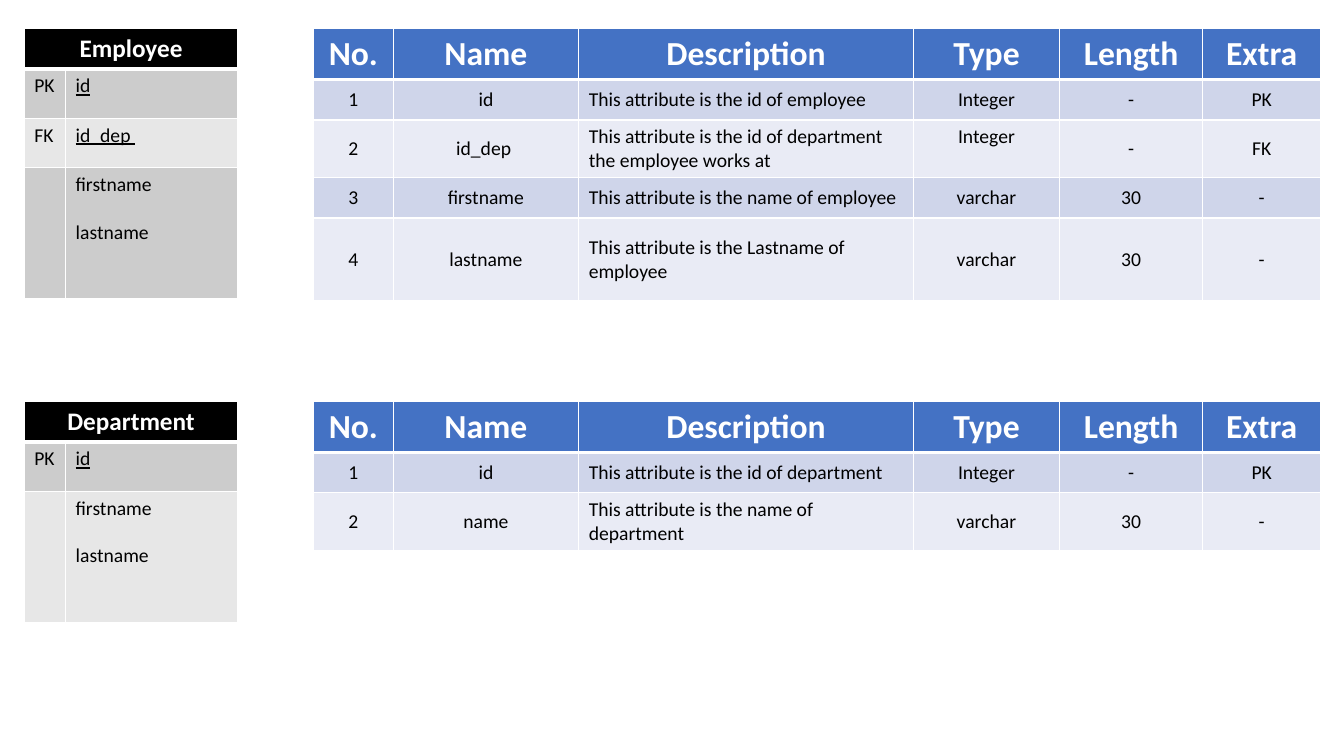
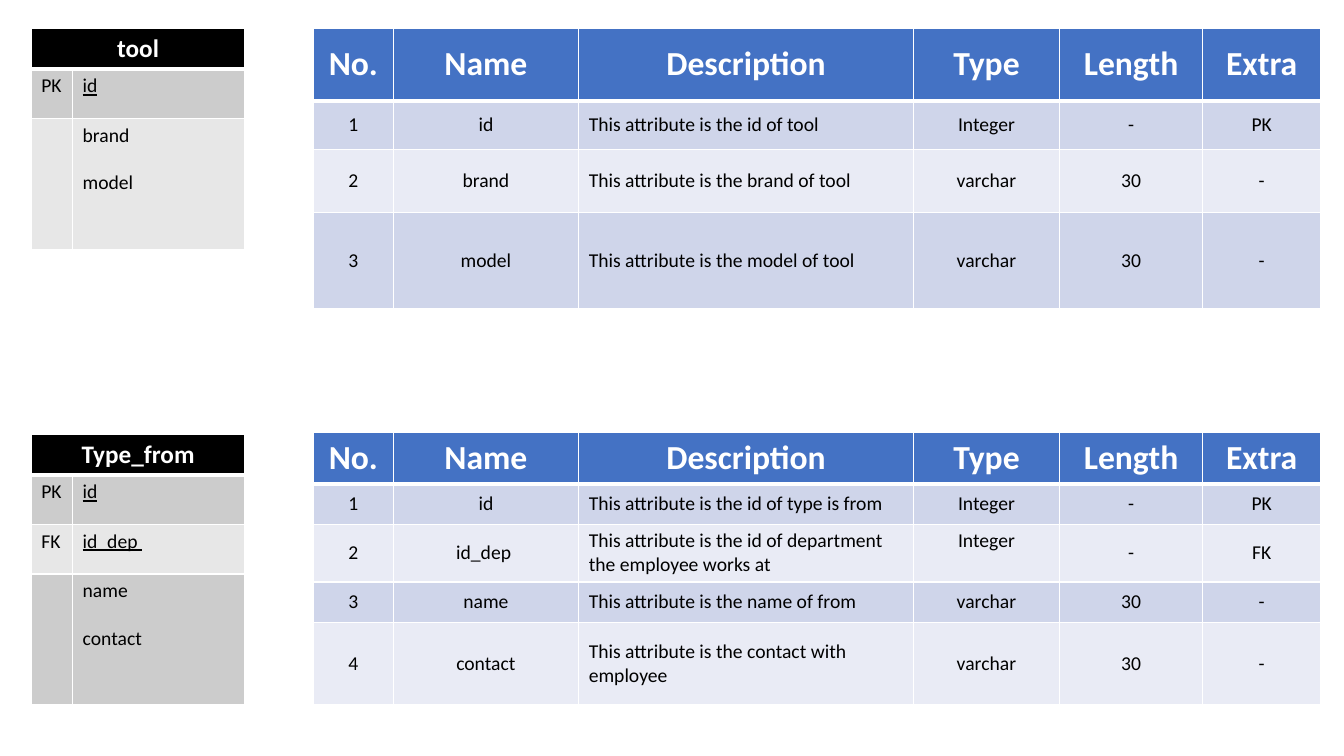
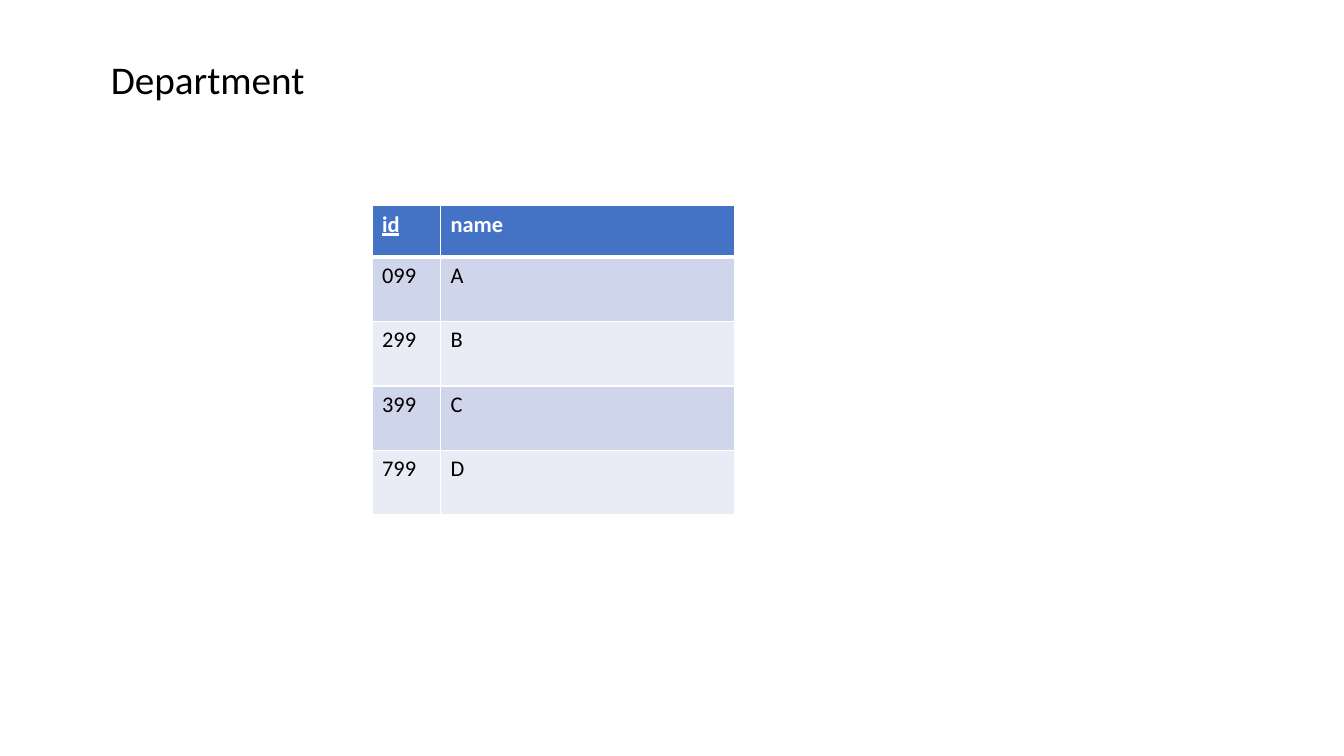
import pptx
import pptx.util
import pptx.dml.color
import pptx.enum.text
import pptx.oxml

PX = 9144  # 100 px to the inch
FONT = "Calibri"
COLORS = {
    "white": "FFFFFF", "black": "000000",
    "blue": "4472C4", "blue_dark_band": "CFD5EA", "blue_light_band": "E9EBF5",
    "grey_dark_band": "CCCCCC", "grey_light_band": "E7E7E7",
}
BLUE = ("blue", "blue_dark_band", "blue_light_band")
BLACK = ("black", "grey_dark_band", "grey_light_band")
ALIGN = pptx.enum.text.PP_ALIGN
ANCHOR = pptx.enum.text.MSO_ANCHOR

# Content: each entity has its keys, its fields and the attributes that describe them
ATTRIBUTE_HEAD = ("No.", "Name", "Description", "Type", "Length", "Extra")
ATTRIBUTE_COLS = (79, 184, 332, 145, 142, 117)
ATTRIBUTE_X = 311
ENTITY_COLS = (41, 171)
ENTITY_HEAD_H, KEY_H, FIELDS_H = 36, 49, 130
PK, FK = ("PK", "id"), ("FK", "id_dep ")
DEPARTMENT_REF = ("id_dep ", "This attribute is the id of department the employee works at",
                  "Integer", "-", "FK")

ENTITY_SLIDES = [
    [
        {"name": "Employee", "at": (24, 28), "keys": [PK, FK],
         "fields": ["firstname", "lastname"],
         "attributes_y": 28, "heights": (51, 40, 46, 40, 82), "attributes": [
             ("id", "This attribute is the id of employee", "Integer", "-", "PK"),
             DEPARTMENT_REF,
             ("firstname", "This attribute is the name of employee", "varchar", "30", "-"),
             ("lastname", "This attribute is the Lastname of employee", "varchar", "30", "-")]},
        {"name": "Department", "at": (24, 398), "keys": [PK],
         "fields": ["firstname", "lastname"],
         "attributes_y": 398, "heights": (51, 40, 44), "attributes": [
             ("id", "This attribute is the id of department", "Integer", "-", "PK"),
             ("name", "This attribute is the name of department", "varchar", "30", "-")]},
    ],
    [
        {"name": "tool", "at": (31, 28), "keys": [PK],
         "fields": ["brand", "model"],
         "attributes_y": 28, "heights": (72, 48, 63, 95), "attributes": [
             ("id", "This attribute is the id of tool", "Integer", "-", "PK"),
             ("brand", "This attribute is the brand of tool", "varchar", "30", "-"),
             ("model", "This attribute is the model of tool", "varchar", "30", "-")]},
        {"name": "Type_from", "at": (31, 431), "keys": [PK, FK],
         "fields": ["name", "contact"],
         "attributes_y": 429, "heights": (51, 40, 46, 40, 82), "attributes": [
             ("id", "This attribute is the id of type is from", "Integer", "-", "PK"),
             DEPARTMENT_REF,
             ("name", "This attribute is the name of from", "varchar", "30", "-"),
             ("contact", "This attribute is the contact with employee", "varchar", "30", "-")]},
    ],
]
RECORDS_TITLE = "Department"
RECORDS = [("id", "name"), ("099", "A"), ("299", "B"), ("399", "C"), ("799", "D")]


def px(*values):
    return [pptx.util.Emu(v * PX) for v in values]


def rgb(name):
    return pptx.dml.color.RGBColor.from_string(COLORS[name])


def add_run(p, text, size, color, bold=False, underline=False):
    r = p.add_run()
    r.text = text
    r.font.name, r.font.size = FONT, pptx.util.Pt(size)
    r.font.color.rgb = rgb(color)
    r.font.bold, r.font.underline = bold, underline


def set_borders(cell, top, bottom):
    """White borders; widths in points."""
    tcPr = cell._tc.get_or_add_tcPr()
    for i, (side, width) in enumerate((("L", 1), ("R", 1), ("T", top), ("B", bottom))):
        tcPr.insert(i, pptx.oxml.parse_xml(
            f'<a:ln{side} xmlns:a="http://schemas.openxmlformats.org/drawingml/2006/main" '
            f'w="{pptx.util.Pt(width)}"><a:solidFill><a:srgbClr val="{COLORS["white"]}"/>'
            f'</a:solidFill></a:ln{side}>'))


def add_grid(s, at, widths, heights, rows, palette, sizes, style):
    """Banded table; style(i, j) gives (alignment, anchor, underline) of a cell."""
    shape = s.shapes.add_table(len(rows), len(widths), *px(*at, sum(widths), sum(heights)))
    table = shape.table
    for column, width in zip(table.columns, px(*widths)):
        column.width = width
    for row, height in zip(table.rows, px(*heights)):
        row.height = height
    head, *bands = palette
    for i, row in enumerate(rows):
        for j, content in enumerate(row):
            cell = table.cell(i, j)
            align, anchor, underline = style(i, j)
            set_borders(cell, 3 if i == 1 else 1, 3 if i == 0 else 1)
            cell.fill.solid()
            cell.fill.fore_color.rgb = rgb(bands[(i - 1) % 2] if i else head)
            cell.vertical_anchor = anchor
            lines = content if isinstance(content, list) else [content]
            for n, line in enumerate(lines):
                p = cell.text_frame.add_paragraph() if n else cell.text_frame.paragraphs[0]
                p.alignment = align
                if n:
                    p.space_before = pptx.util.Pt(17)
                if line:
                    add_run(p, line, sizes[min(i, 1)], "black" if i else "white",
                            i == 0, underline)
    return table


def add_entity(s, entity):
    # Entity box: name, keys, then the remaining fields in one row
    keys = entity["keys"]
    rows = [(entity["name"], ""), *keys, ("", entity["fields"])]
    heights = [ENTITY_HEAD_H] + [KEY_H] * len(keys) + [FIELDS_H]

    def entity_style(i, j):
        return (ALIGN.LEFT if i else ALIGN.CENTER, ANCHOR.TOP,
                j == 1 and 0 < i <= len(keys))

    table = add_grid(s, entity["at"], ENTITY_COLS, heights, rows, BLACK, (18, 14), entity_style)
    table.cell(0, 0).merge(table.cell(0, 1))

    # Attribute table, numbered from 1
    rows = [ATTRIBUTE_HEAD] + [(str(n), *a) for n, a in enumerate(entity["attributes"], 1)]

    def attribute_style(i, j):
        foreign_type = rows[i][-1] == "FK" and ATTRIBUTE_HEAD[j] == "Type"
        return (ALIGN.LEFT if i and j == 2 else ALIGN.CENTER,
                ANCHOR.TOP if foreign_type else ANCHOR.MIDDLE, False)

    add_grid(s, (ATTRIBUTE_X, entity["attributes_y"]), ATTRIBUTE_COLS, entity["heights"],
             rows, BLUE, (24, 14), attribute_style)


def add_records(s):
    title = s.shapes.title
    title.left, title.top, title.width, title.height = px(37, 50, 338, 57)
    p = title.text_frame.paragraphs[0]
    p.alignment = ALIGN.CENTER
    add_run(p, RECORDS_TITLE, 28, "black")
    add_grid(s, (369, 204), (68, 292), [51] + [64] * 4, RECORDS, BLUE, (16, 16),
             lambda i, j: (ALIGN.LEFT, ANCHOR.TOP, i == j == 0))


def main():
    prs = pptx.Presentation()
    prs.slide_width, prs.slide_height = px(1333, 750)
    title_only, blank = prs.slide_layouts[5], prs.slide_layouts[6]
    for entities in ENTITY_SLIDES:
        s = prs.slides.add_slide(blank)
        for entity in entities:
            add_entity(s, entity)
    add_records(prs.slides.add_slide(title_only))
    prs.save("out.pptx")


if __name__ == "__main__":
    main()
